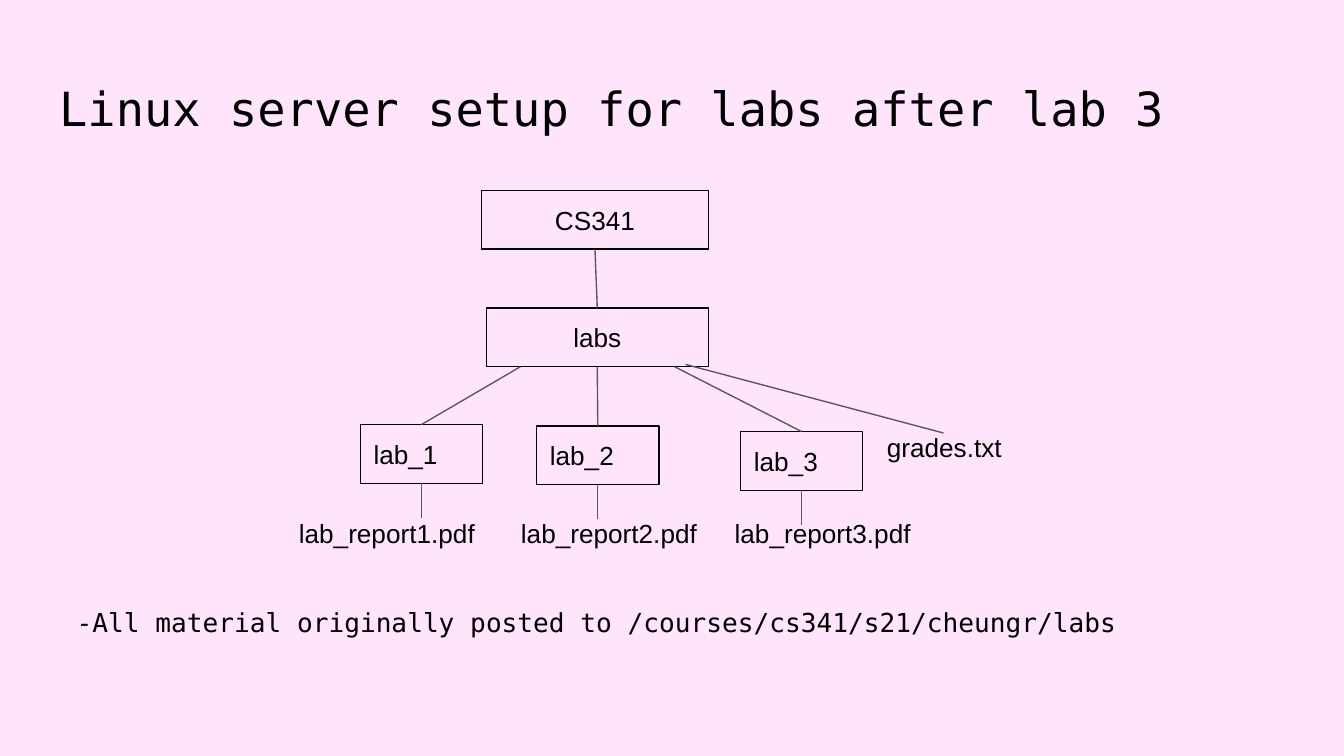
from lxml import etree
from pptx import Presentation
from pptx.dml.color import RGBColor
from pptx.enum.shapes import MSO_CONNECTOR, MSO_SHAPE
from pptx.enum.text import MSO_ANCHOR, PP_ALIGN
from pptx.oxml.ns import qn
from pptx.util import Pt

PINK = RGBColor(0xFF, 0xE5, 0xFC)
BLACK = RGBColor(0, 0, 0)
GRAY = RGBColor(0x59, 0x59, 0x59)
SANS = "Arial"
MONO = "DejaVu Sans Mono"
ROW_HEIGHT = 31.5
INSET = 7.2
TOP, BOTTOM = 0, 2


def write(shape, text, font_name=SANS, size=14, align=PP_ALIGN.LEFT):
    frame = shape.text_frame
    frame.word_wrap = True
    frame.vertical_anchor = MSO_ANCHOR.MIDDLE
    frame.margin_left = frame.margin_right = Pt(INSET)
    frame.margin_top = frame.margin_bottom = Pt(INSET)
    paragraph = frame.paragraphs[0]
    paragraph.text = text
    paragraph.alignment = align
    paragraph.font.name = font_name
    paragraph.font.size = Pt(size)
    paragraph.font.color.rgb = BLACK


def add_label(slide, text, left, top, width, font_name=SANS):
    label = slide.shapes.add_textbox(Pt(left), Pt(top), Pt(width), Pt(ROW_HEIGHT))
    write(label, text, font_name)


def add_folder(slide, text, left, top, width, align=PP_ALIGN.LEFT):
    folder = slide.shapes.add_shape(
        MSO_SHAPE.RECTANGLE, Pt(left), Pt(top), Pt(width), Pt(ROW_HEIGHT))
    folder.shadow.inherit = False
    folder.fill.background()
    folder.line.color.rgb = BLACK
    folder.line.width = Pt(0.75)
    write(folder, text, align=align)
    return folder


def add_branch(slide, start=(0, 0), end=(0, 0), parent=None, child=None):
    branch = slide.shapes.add_connector(
        MSO_CONNECTOR.STRAIGHT, Pt(start[0]), Pt(start[1]), Pt(end[0]), Pt(end[1]))
    if parent is not None:
        branch.begin_connect(parent, BOTTOM)
    if child is not None:
        branch.end_connect(child, TOP)
    branch.line.color.rgb = GRAY
    branch.line.width = Pt(0.75)
    etree.SubElement(branch._element.spPr, qn("a:effectLst"))


def place_title(slide, text, left, top, width, height):
    title = slide.shapes.title
    title.left, title.top = Pt(left), Pt(top)
    title.width, title.height = Pt(width), Pt(height)
    write(title, text, MONO, 25.2)


def draw_tree(slide, left, top):
    course = add_folder(slide, "CS341", left + 105, top, 121.5, PP_ALIGN.CENTER)
    labs = add_folder(slide, "labs", left + 107.5, top + 63, 119, PP_ALIGN.CENTER)
    add_branch(slide, parent=course, child=labs)

    labs_bottom = top + 63 + ROW_HEIGHT
    lab_width = 65.5
    lab_places = [(40, 125.5, 0), (134.5, 126.25, 119), (243.75, 129.25, 233.5)]
    branch_starts = [125.75, None, 208.5]
    for number, (place, start) in enumerate(zip(lab_places, branch_starts), 1):
        lab_left, lab_top, report_left = place
        lab = add_folder(slide, f"lab_{number}", left + lab_left, top + lab_top, lab_width)
        if start is None:
            add_branch(slide, parent=labs, child=lab)
        else:
            add_branch(slide, start=(left + start, labs_bottom), child=lab)
        report_end = (left + lab_left + lab_width / 2, top + lab_top + ROW_HEIGHT + 18.5)
        add_branch(slide, end=report_end, parent=lab)
        add_label(slide, f"lab_report{number}.pdf", left + report_left, top + 168, 119)

    add_branch(slide, (left + 214.25, top + 93.25), (left + 352.5, top + 130))
    add_label(slide, "grades.txt", left + 315, top + 122, 121.5)


def main():
    deck = Presentation()
    deck.slide_width, deck.slide_height = Pt(720), Pt(405)
    slide = deck.slides.add_slide(deck.slide_layouts[5])
    slide.background.fill.solid()
    slide.background.fill.fore_color.rgb = PINK

    place_title(slide, "Linux server setup for labs after lab 3", 24.5, 35.25, 671, 45.25)
    draw_tree(slide, 153, 102)
    add_label(slide, "-All material originally posted to /courses/cs341/s21/cheungr/labs",
              34, 317.5, 623.5, MONO)
    deck.save("out.pptx")


if __name__ == "__main__":
    main()
